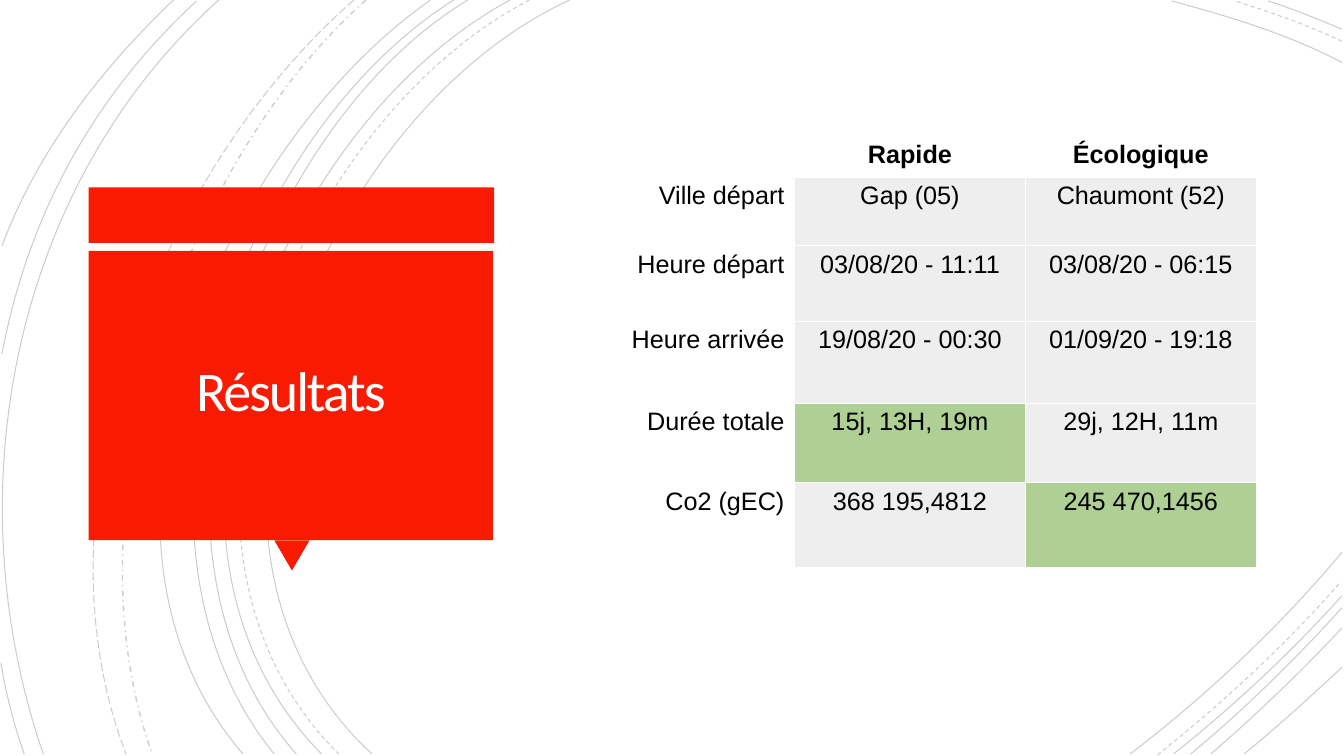
from dataclasses import dataclass

from lxml.etree import SubElement
from pptx import Presentation
from pptx.dml.color import RGBColor
from pptx.enum.dml import MSO_LINE_DASH_STYLE as Dash
from pptx.enum.shapes import MSO_SHAPE as Preset
from pptx.enum.text import MSO_ANCHOR as Anchor, MSO_AUTO_SIZE as AutoSize, PP_ALIGN as Align
from pptx.oxml.ns import qn
from pptx.slide import Slide
from pptx.text.text import TextFrame
from pptx.util import Emu, Pt

SCALE = 9144
RED = "F81B02"
WHITE = "FFFFFF"
GREY = "EEEEEE"
GREEN = "AFD095"
BLACK = "000000"
Point = tuple[int, int]


@dataclass(frozen=True)
class Arc:
    start: Point
    controls: tuple[Point, Point]
    end: Point
    dash: Dash = Dash.SOLID
    width: float = 0.75


@dataclass(frozen=True)
class Block:
    preset: Preset
    left: int
    top: int
    width: int
    height: int
    rotation: int = 0


@dataclass(frozen=True)
class Row:
    height: int
    label: str
    fast: str
    green: str
    best: int = 0


ARCS = [
    Arc((565, 0), ((315, 115), (143, 540)), (369, 748)),
    Arc((1331, 62), ((1278, 34), (1218, 16)), (1162, 1)),
    Arc((1121, 748), ((1197, 690), (1269, 622)), (1331, 548)),
    Arc((525, 0), ((285, 125), (123, 537)), (336, 748), Dash.DASH),
    Arc((1331, 41), ((1297, 25), (1260, 12)), (1225, 1), Dash.DASH),
    Arc((1148, 749), ((1213, 697), (1275, 640)), (1330, 577), Dash.DASH),
    Arc((506, 0), ((270, 127), (110, 537)), (319, 748)),
    Arc((1331, 29), ((1307, 19), (1283, 9)), (1258, 1)),
    Arc((1164, 748), ((1223, 701), (1280, 648)), (1331, 591)),
    Arc((464, 0), ((244, 133), (110, 541)), (294, 748)),
    Arc((1181, 748), ((1234, 704), (1284, 655)), (1331, 603)),
    Arc((450, 0), ((231, 138), (97, 533)), (272, 748)),
    Arc((1201, 748), ((1246, 709), (1290, 667)), (1331, 623)),
    Arc((427, 0), ((217, 147), (53, 529)), (241, 748)),
    Arc((1234, 748), ((1267, 721), (1299, 692)), (1331, 662)),
    Arc((363, 0), ((176, 166), (65, 509)), (151, 748), Dash.DASH_DOT, 1),
    Arc((351, 0), ((157, 169), (29, 499)), (125, 748), Dash.LONG_DASH),
    Arc((217, 0), ((11, 185), (-46, 490)), (43, 748)),
    Arc((195, 1), ((92, 96), (28, 214)), (2, 351)),
    Arc((1, 658), ((6, 689), (14, 719)), (24, 748)),
    Arc((172, 0), ((100, 69), (37, 150)), (2, 244)),
]

BLOCKS = [
    Block(Preset.RECTANGLE, 88, 186, 402, 55),
    Block(Preset.ISOSCELES_TRIANGLE, 272, 536, 35, 30, 180),
    Block(Preset.RECTANGLE, 88, 249, 401, 287),
]

ROWS = [
    Row(40, "", "Rapide", "Écologique"),
    Row(68, "Ville départ", "Gap (05)", "Chaumont (52)"),
    Row(75, "Heure départ", "03/08/20 - 11:11", "03/08/20 - 06:15"),
    Row(81, "Heure arrivée", "19/08/20 - 00:30", "01/09/20 - 19:18"),
    Row(79, "Durée totale", "15j, 13H, 19m", "29j, 12H, 11m", best=1),
    Row(84, "Co2 (gEC)", "368 195,4812", "245 470,1456", best=2),
]


def px(length: int) -> Emu:
    return Emu(length * SCALE)


def paint(fill, color: str) -> None:
    fill.solid()
    fill.fore_color.rgb = RGBColor.from_string(color)


def write(frame: TextFrame, text: str, *, font: str, size: float, color: str,
          bold: bool = False, align: Align = Align.CENTER,
          line_spacing: float = 1.0, tracking: int = 0) -> None:
    para = frame.paragraphs[0]
    para.alignment = align
    para.line_spacing = line_spacing
    span = para.add_run()
    span.text = text
    span.font.name = font
    span.font.size = Pt(size)
    span.font.bold = bold
    span.font.color.rgb = RGBColor.from_string(color)
    if tracking:
        span.font._element.set("spc", str(tracking))


def draw_arc(slide: Slide, arc: Arc) -> None:
    builder = slide.shapes.build_freeform(*arc.start, scale=SCALE)
    builder.add_line_segments([*arc.controls, arc.end], close=False)
    shape = builder.convert_to_shape()
    shape.shadow.inherit = False
    shape.fill.background()
    shape.line.width = Pt(arc.width)
    shape.line.dash_style = arc.dash
    paint(shape.line.fill, BLACK)
    color = shape._element.xpath("./p:spPr/a:ln//a:srgbClr")[0]
    SubElement(color, qn("a:alpha"), val="20000")
    outline = shape._element.xpath(".//a:path")[0]
    curve = SubElement(outline, qn("a:cubicBezTo"))
    for segment in outline.findall(qn("a:lnTo")):
        curve.append(segment[0])
        outline.remove(segment)


def draw_block(slide: Slide, block: Block) -> None:
    shape = slide.shapes.add_shape(block.preset, px(block.left), px(block.top),
                                   px(block.width), px(block.height))
    shape.rotation = block.rotation
    shape.shadow.inherit = False
    paint(shape.fill, RED)
    shape.line.fill.background()


def draw_title(slide: Slide, text: str) -> None:
    title = slide.shapes.title
    title.left, title.top, title.width, title.height = map(px, (97, 257, 383, 269))
    frame = title.text_frame
    frame.word_wrap = True
    frame.auto_size = AutoSize.NONE
    frame.vertical_anchor = Anchor.MIDDLE
    frame.margin_left = frame.margin_right = px(25)
    frame.margin_top = frame.margin_bottom = px(25)
    write(frame, text, font="Calibri", size=40, color="FFFEFF",
          line_spacing=0.85, tracking=-150)
    slide.shapes._spTree.append(title._element)


def add_borders(cell) -> None:
    properties = cell._tc.get_or_add_tcPr()
    for side in ("lnL", "lnR", "lnT", "lnB"):
        line = SubElement(properties, qn(f"a:{side}"), w="762")
        fill = SubElement(line, qn("a:solidFill"))
        SubElement(fill, qn("a:srgbClr"), val=WHITE)


def draw_table(slide: Slide, rows: list[Row]) -> None:
    height = sum(row.height for row in rows)
    table = slide.shapes.add_table(len(rows), 3, px(559), px(135), px(687), px(height)).table
    table.first_row = False
    table.horz_banding = False
    for column in table.columns:
        column.width = px(229)
    for index, row in enumerate(rows):
        table.rows[index].height = px(row.height)
        for position, text in enumerate((row.label, row.fast, row.green)):
            cell = table.cell(index, position)
            add_borders(cell)
            if index == 0 or position == 0:
                paint(cell.fill, WHITE)
            else:
                paint(cell.fill, GREEN if position == row.best else GREY)
            if text:
                write(cell.text_frame, text, font="Arial", size=18, color=BLACK,
                      bold=index == 0, align=Align.CENTER if position else Align.RIGHT)


def main() -> None:
    deck = Presentation()
    deck.slide_width, deck.slide_height = px(1333), px(750)
    slide = deck.slides.add_slide(deck.slide_layouts[5])
    paint(slide.background.fill, WHITE)
    for arc in ARCS:
        draw_arc(slide, arc)
    for block in BLOCKS:
        draw_block(slide, block)
    draw_title(slide, "Résultats")
    draw_table(slide, ROWS)
    deck.save("out.pptx")


if __name__ == "__main__":
    main()
